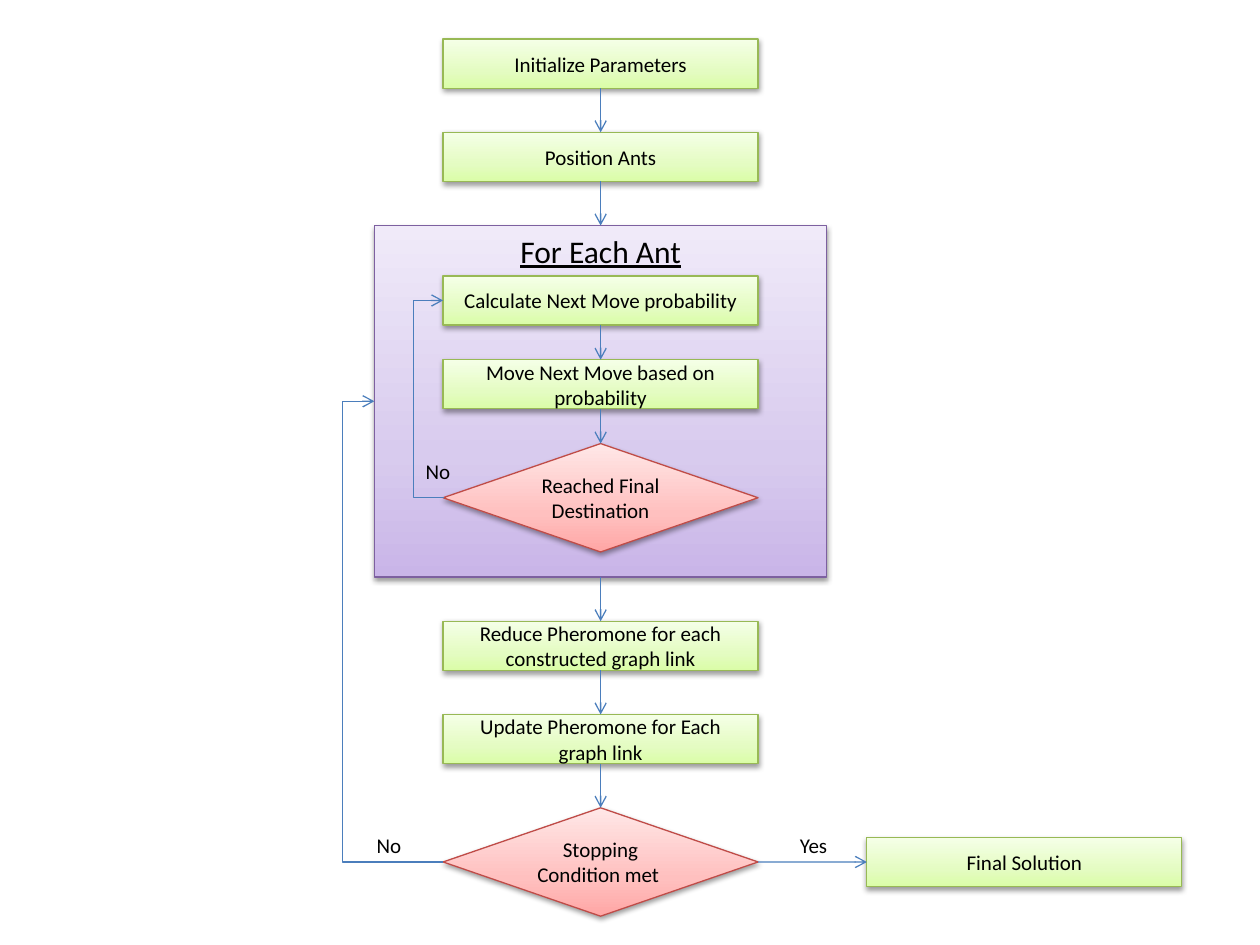
import copy
import itertools

import lxml.etree
import pptx
import pptx.dml.color
import pptx.enum.shapes
import pptx.enum.text
import pptx.oxml
import pptx.oxml.ns
import pptx.util

WIDTH, HEIGHT = pptx.util.Inches(10), pptx.util.Inches(7.5)
CENTRE = 47.67
COLORS = {
    "step": ("98B955", "DAFDA7", "E4FCC2", "F5FFE7"),
    "loop": ("7D60A0", "C9B5E8", "D8CBEE", "F0EAF9"),
    "test": ("BF4C48", "FFA6A5", "FFC0BF", "FFE7E7"),
    "arrow": "4B7EBC",
    "text": "000000",
}
SIZES = {"step": (25, 5.2), "loop": (35.9, 37.2), "test": (25, 11.47)}
SHAPE = pptx.enum.shapes.MSO_SHAPE
PRESETS = {"step": SHAPE.RECTANGLE, "loop": SHAPE.RECTANGLE, "test": SHAPE.FLOWCHART_DECISION}
ANCHOR = pptx.enum.text.MSO_ANCHOR
ALIGN = pptx.enum.text.PP_ALIGN
LINK = pptx.enum.shapes.MSO_CONNECTOR


def across(share):
    """Turn a percentage of the slide's width into a length."""
    return round(WIDTH * share / 100)


def down(share):
    """Turn a percentage of the slide's height into a length."""
    return round(HEIGHT * share / 100)


def rgb(value):
    """Return a colour object for a hex string."""
    return pptx.dml.color.RGBColor.from_string(value)


def add_xml(parent, tag, **attributes):
    """Append a DrawingML element with its attributes."""
    child = lxml.etree.SubElement(parent, pptx.oxml.ns.qn(tag))
    for name, value in attributes.items():
        child.set(name, str(value))
    return child


def write(s, text, size=12, align=ALIGN.CENTER, anchor=ANCHOR.MIDDLE, underline=None, wrap=True):
    """Put formatted text into a shape."""
    tf = s.text_frame
    tf.word_wrap = wrap
    tf.vertical_anchor = anchor
    p = tf.paragraphs[0]
    p.alignment = align
    r = p.add_run()
    r.text = text
    r.font.name = "Calibri"
    r.font.size = pptx.util.Pt(size)
    r.font.underline = underline
    r.font.color.rgb = rgb(COLORS["text"])


def add_gradient(s, colors):
    """Fill a shape with three stops rising from its bottom edge."""
    s.fill.gradient()
    s.fill.gradient_angle = 90
    stops = s._element.spPr.find(".//" + pptx.oxml.ns.qn("a:gsLst"))
    stops.append(copy.deepcopy(stops[-1]))
    for stop, color, position in zip(s.fill.gradient_stops, colors, (0, 0.35, 1)):
        stop.color.rgb = rgb(color)
        stop.position = position


def add_shadow(s):
    """Give a shape a soft shadow below it."""
    s.shadow.inherit = False
    effects = s._element.spPr.find(pptx.oxml.ns.qn("a:effectLst"))
    shadow = add_xml(effects, "a:outerShdw", blurRad=pptx.util.Pt(3.1), dist=pptx.util.Pt(1.6),
                     dir=5400000, rotWithShape=0)
    add_xml(add_xml(shadow, "a:srgbClr", val="000000"), "a:alpha", val=38000)


def add_node(slide, kind, text, top, centre=CENTRE, **style):
    """Add one flowchart node centred on a column."""
    width, height = SIZES[kind]
    s = slide.shapes.add_shape(PRESETS[kind], across(centre - width / 2), down(top),
                               across(width), down(height))
    outline, *colors = COLORS[kind]
    add_gradient(s, colors)
    s.line.color.rgb = rgb(outline)
    s.line.width = pptx.util.Pt(0.75)
    add_shadow(s)
    write(s, text, **style)
    return s


def add_stack(slide, nodes, top, gap):
    """Stack nodes downwards with equal gaps."""
    placed = []
    for kind, text, style in nodes:
        placed.append(add_node(slide, kind, text, top, **style))
        top += SIZES[kind][1] + gap
    return placed


def add_arrow(slide, start, start_site, end, end_site, kind=LINK.STRAIGHT):
    """Join two nodes with an arrow."""
    s = slide.shapes.add_connector(kind, 0, 0, 0, 0)
    s.begin_connect(start, start_site)
    s.end_connect(end, end_site)
    s.line.color.rgb = rgb(COLORS["arrow"])
    s.line.width = pptx.util.Pt(0.75)
    add_xml(s.line._get_or_add_ln(), "a:tailEnd", type="arrow")
    add_xml(s._element.spPr, "a:effectLst")
    return s


def add_return(slide, start, end, turn):
    """Lead an arrow back up through a turn left of both nodes."""
    s = add_arrow(slide, start, 1, end, 1, LINK.ELBOW)
    s.width = max(s.width, across(0.1))
    ratio = (across(turn) - s.begin_x) / (s.end_x - s.begin_x)
    guides = s._element.spPr.find(".//" + pptx.oxml.ns.qn("a:avLst"))
    if guides is None:
        guides = add_xml(s._element.spPr.find(pptx.oxml.ns.qn("a:prstGeom")), "a:avLst")
    add_xml(guides, "a:gd", name="adj1", fmla=f"val {round(ratio * 100000)}")


def add_label(slide, text, left, top, width):
    """Add a one-line branch label beside an arrow."""
    s = slide.shapes.add_textbox(across(left), down(top), across(width), down(4))
    write(s, text, align=ALIGN.LEFT, anchor=ANCHOR.TOP, wrap=False)
    s.text_frame.auto_size = pptx.enum.text.MSO_AUTO_SIZE.SHAPE_TO_FIT_TEXT


def main():
    """Build the ant colony flowchart."""
    prs = pptx.Presentation()
    prs.slide_width, prs.slide_height = WIDTH, HEIGHT
    slide = prs.slides.add_slide(prs.slide_layouts[6])

    heading = {"size": 18, "anchor": ANCHOR.TOP, "underline": True}
    outer = add_stack(slide, [
        ("step", "Initialize Parameters", {}),
        ("step", "Position Ants", {}),
        ("loop", "For Each Ant", heading),
        ("step", "Reduce Pheromone for each constructed graph link", {}),
        ("step", "Update Pheromone for Each graph link", {}),
        ("test", "Stopping Condition met ", {}),
    ], top=4.13, gap=4.67)
    inner = add_stack(slide, [
        ("step", "Calculate Next Move probability", {}),
        ("step", "Move Next Move based on probability", {}),
        ("test", "Reached Final Destination", {}),
    ], top=29.2, gap=3.67)
    final = add_node(slide, "step", "Final Solution", 88.62, centre=81.3)

    for stack in (outer, inner):
        for start, end in itertools.pairwise(stack):
            add_arrow(slide, start, 2, end, 0)
    add_arrow(slide, outer[-1], 3, final, 1)
    add_return(slide, inner[-1], inner[0], turn=32.8)
    add_return(slide, outer[-1], outer[2], turn=27.2)

    for text, left, top, width in (
        ("No", 32.8, 47.87, 4),
        ("No", 28.9, 87.47, 4),
        ("Yes", 62.5, 87.47, 4.3),
    ):
        add_label(slide, text, left, top, width)
    prs.save("out.pptx")


if __name__ == "__main__":
    main()
